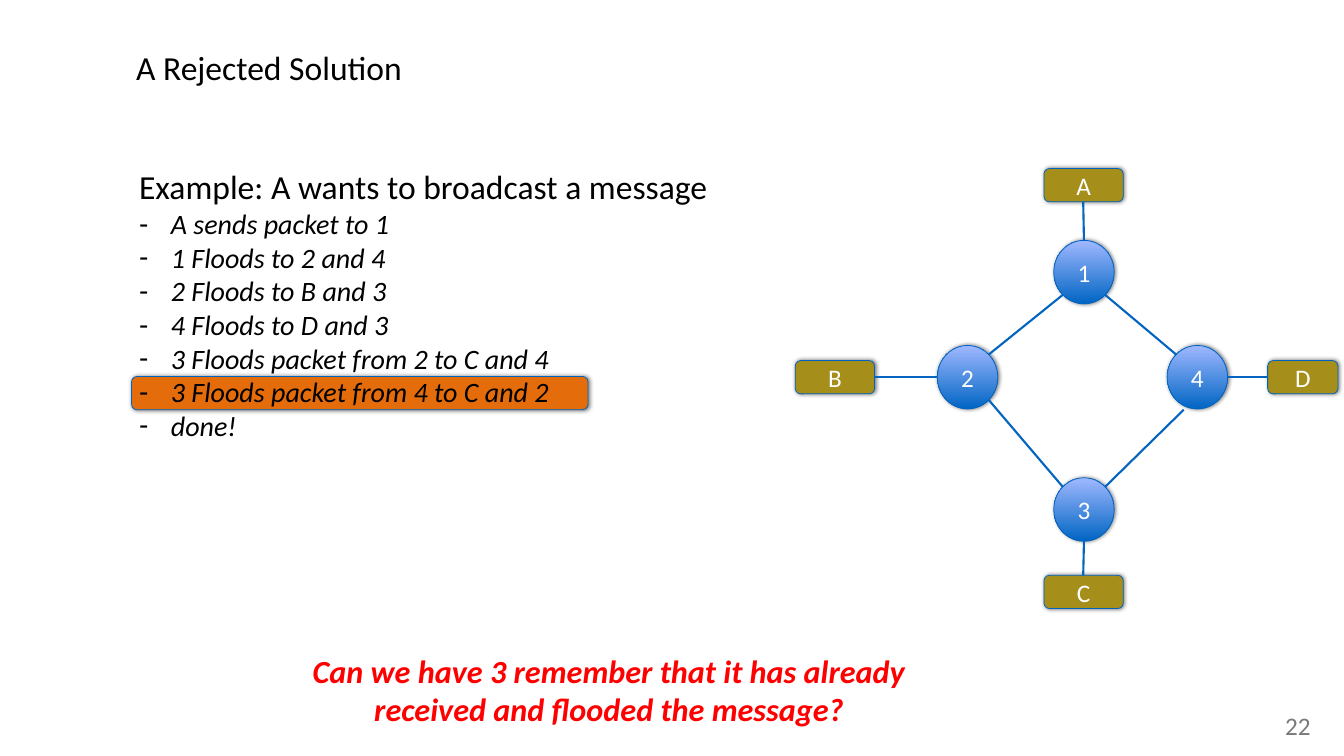
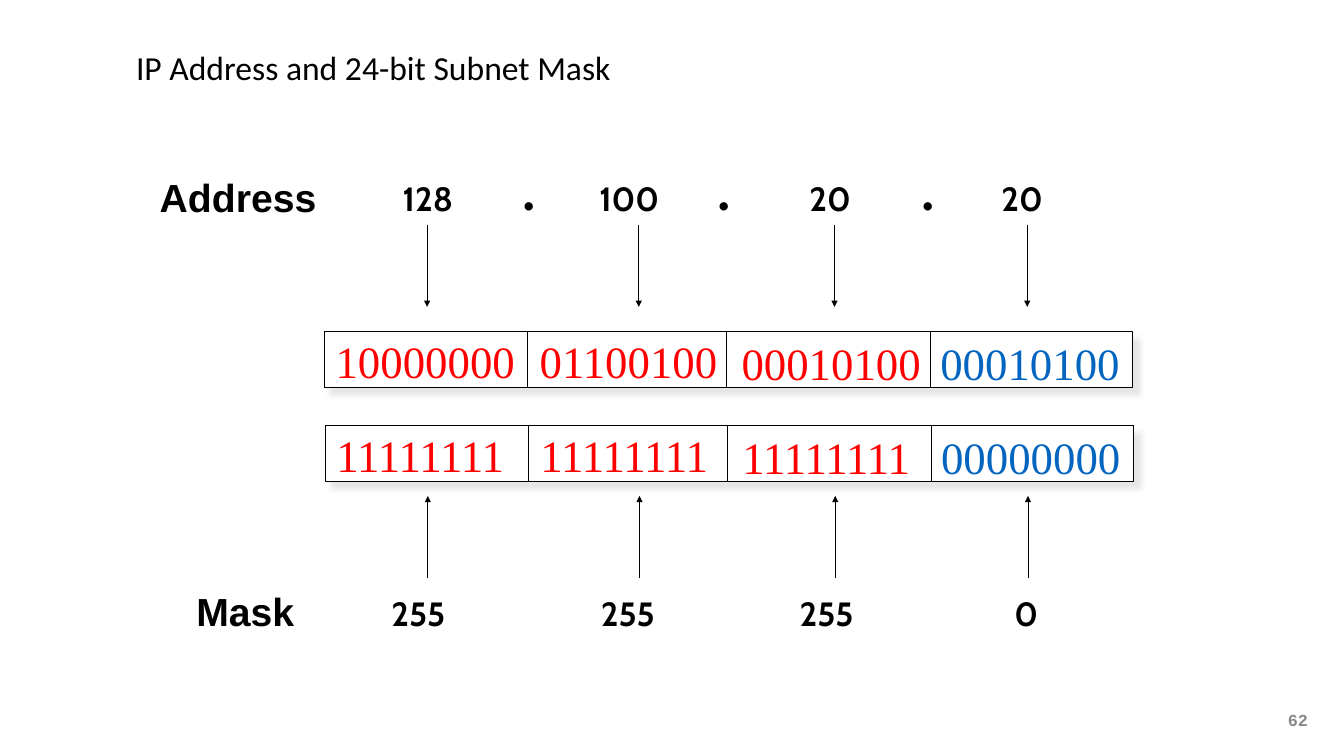
import dataclasses

import lxml.etree
import pptx
import pptx.dml.color
import pptx.enum.shapes
import pptx.enum.text
import pptx.oxml.ns
import pptx.util

PX = 9144
SHAPE = pptx.enum.shapes.MSO_SHAPE
ALIGN = pptx.enum.text.PP_ALIGN
ANCHOR = pptx.enum.text.MSO_ANCHOR


@dataclasses.dataclass(frozen=True)
class Theme:
    black: str = "000000"
    white: str = "FFFFFF"
    red: str = "FF0000"
    blue: str = "0365C0"
    outline: str = "0063BF"
    node_dark: str = "0065C3"
    node_light: str = "A0B8FF"
    host: str = "A58E1A"
    highlight: str = "E46C0A"
    row_shadow: str = "DCDEE0"
    gray: str = "7A7A7A"
    light_gray: str = "898989"
    text_font: str = "Calibri"
    caption_font: str = "Arial"
    number_font: str = "Cabin"
    bits_font: str = "Times New Roman"
    page_font: str = "Courier New"
    title_size: float = 32
    item_size: float = 26.7
    label_size: float = 24
    question_size: float = 30.7
    page_size: float = 16
    caption_size: float = 37.3
    bits_size: float = 42.7
    dot_size: float = 66


@dataclasses.dataclass(frozen=True)
class Box:
    left: int
    top: int
    width: int
    height: int

    def inner(self, left, top, width, height):
        return Box(self.left + left, self.top + top, width, height)

    def edges(self):
        return [value * PX for value in (self.left, self.top, self.width, self.height)]


THEME = Theme()
TITLE_BOX = Box(174, 0, 1431, 178)
NUMBER_BOX = Box(1694, 939, 46, 50)


def color(code):
    return pptx.dml.color.RGBColor.from_string(code)


def add_xml(parent, tag, **attributes):
    return lxml.etree.SubElement(parent, pptx.oxml.ns.qn(tag), attributes)


def write(para, text, *, size, font=THEME.text_font, ink=THEME.black,
          bold=False, italic=False, align=ALIGN.LEFT):
    para.alignment = align
    for index, line in enumerate(text.split("\n")):
        if index:
            para.add_line_break()
        span = para.add_run()
        span.text = line
        span.font.size = pptx.util.Pt(size)
        span.font.name = font
        span.font.bold = bold
        span.font.italic = italic
        span.font.color.rgb = color(ink)


def set_frame(frame, inset_x=10, inset_y=5, anchor=ANCHOR.TOP):
    frame.word_wrap = True
    frame.auto_size = pptx.enum.text.MSO_AUTO_SIZE.NONE
    frame.vertical_anchor = anchor
    frame.margin_left = frame.margin_right = inset_x * PX
    frame.margin_top = frame.margin_bottom = inset_y * PX


def add_text(page, box, text, inset_x=10, inset_y=5, anchor=ANCHOR.TOP, **style):
    frame = page.shapes.add_textbox(*box.edges()).text_frame
    set_frame(frame, inset_x, inset_y, anchor)
    write(frame.paragraphs[0], text, **style)


def place(holder, box):
    holder.left, holder.top, holder.width, holder.height = box.edges()
    return holder.text_frame


def add_shadow(shape, ink, opacity, blur, distance, angle):
    shape.shadow.inherit = False
    effects = shape._element.spPr.find(pptx.oxml.ns.qn("a:effectLst"))
    shadow = add_xml(effects, "a:outerShdw", blurRad=str(int(blur * 12700)),
                     dist=str(int(distance * 12700)), dir=str(angle * 60000),
                     algn="tl", rotWithShape="0")
    tint = add_xml(shadow, "a:srgbClr", val=ink)
    add_xml(tint, "a:alpha", val=str(opacity * 1000))


def add_block(page, kind, box, fill=None, label=None):
    shape = page.shapes.add_shape(kind, *box.edges())
    if fill:
        shape.fill.solid()
        shape.fill.fore_color.rgb = color(fill)
    else:
        shape.fill.gradient()
        shape.fill.gradient_angle = 90
        for stop, code in zip(shape.fill.gradient_stops,
                              (THEME.node_dark, THEME.node_light)):
            stop.color.rgb = color(code)
    shape.line.color.rgb = color(THEME.outline)
    shape.line.width = pptx.util.Pt(0.75)
    add_shadow(shape, THEME.black, 50, 4, 1, 0)
    if label:
        set_frame(shape.text_frame, anchor=ANCHOR.MIDDLE)
        write(shape.text_frame.paragraphs[0], label, size=THEME.label_size,
              ink=THEME.white, align=ALIGN.CENTER)


def add_line(page, start, end, ink=THEME.black, width=1.0, arrow=False):
    line = page.shapes.add_connector(pptx.enum.shapes.MSO_CONNECTOR.STRAIGHT,
                                     *[value * PX for value in (*start, *end)])
    line.line.color.rgb = color(ink)
    line.line.width = pptx.util.Pt(width)
    if arrow:
        add_xml(line.line._get_or_add_ln(), "a:tailEnd", type="triangle")
    add_xml(line._element.spPr, "a:effectLst")


def add_page(deck, layout, title, number, **number_style):
    page = deck.slides.add_slide(deck.slide_layouts[layout])
    frame = place(page.shapes.title, TITLE_BOX)
    set_frame(frame, 6, 6, ANCHOR.MIDDLE)
    write(frame.paragraphs[0], title, size=THEME.title_size)
    add_text(page, NUMBER_BOX, number, 0, 0, align=ALIGN.CENTER, **number_style)
    return page


def fill_steps(page, box, heading, steps):
    frame = place(page.placeholders[1], box)
    set_frame(frame)
    for index, text in enumerate([heading, *steps]):
        para = frame.add_paragraph() if index else frame.paragraphs[0]
        para.space_before = pptx.util.Pt(0)
        indent = 42 * PX if index else 0
        properties = para._p.get_or_add_pPr()
        properties.set("marL", str(indent))
        properties.set("indent", str(-indent))
        if index:
            add_xml(properties, "a:buChar", char="-")
            write(para, text, size=THEME.item_size, italic=True)
        else:
            add_xml(properties, "a:buNone")
            write(para, text, size=THEME.title_size)


def draw_network(page, box):
    switches = {"1": (342, 95), "2": (188, 234), "4": (492, 234), "3": (342, 409)}
    hosts = {"B": (0, 254, 105), "A": (329, 0, 105),
             "C": (329, 538, 105), "D": (625, 254, 93)}
    centers = {}
    for name, (left, top) in switches.items():
        area = box.inner(left, top, 80, 84)
        centers[name] = (area.left + 40, area.top + 42)
        add_block(page, SHAPE.OVAL, area, label=name)
    for name, (left, top, width) in hosts.items():
        area = box.inner(left, top, width, 44)
        centers[name] = (area.left + width // 2, area.top + 22)
        add_block(page, SHAPE.ROUNDED_RECTANGLE, area, THEME.host, name)
    links = [
        ("1", (-28, 30), "2", (28, -30)),
        ("2", (28, 30), "3", (-28, -30)),
        ("3", (28, -30), "4", (-18, 43)),
        ("4", (-28, -30), "1", (28, 30)),
        ("A", (0, 22), "1", (0, -42)),
        ("B", (53, 0), "2", (-40, 0)),
        ("C", (0, -22), "3", (0, 42)),
        ("D", (-46, 0), "4", (40, 0)),
    ]
    for first, first_shift, second, second_shift in links:
        start, end = [(centers[name][0] + shift[0], centers[name][1] + shift[1])
                      for name, shift in ((first, first_shift), (second, second_shift))]
        add_line(page, start, end, THEME.blue, 2)


def draw_bits(page, box, words):
    row = page.shapes.add_shape(SHAPE.RECTANGLE, *box.edges())
    row.fill.solid()
    row.fill.fore_color.rgb = color(THEME.white)
    row.line.color.rgb = color(THEME.black)
    row.line.width = pptx.util.Pt(1)
    add_shadow(row, THEME.row_shadow, 75, 5, 8.5, 45)
    for left in (269, 532, 802):
        add_line(page, (box.left + left, box.top),
                 (box.left + left, box.top + box.height))
    inks = [THEME.red] * 3 + [THEME.blue]
    for word, ink, left, top in zip(words, inks, (2, 272, 539, 802), (-4, -4, -2, -2)):
        add_text(page, box.inner(left, top, 267, 85), word, 13, 7,
                 size=THEME.bits_size, font=THEME.bits_font, ink=ink)


def draw_band(page, box, words, caption, caption_box, numbers, number_top, arrow_ends):
    draw_bits(page, box, words)
    add_text(page, box.inner(*caption_box), caption, size=THEME.caption_size,
             font=THEME.caption_font, bold=True, align=ALIGN.CENTER)
    for number, left in numbers:
        add_text(page, box.inner(left, number_top, 20 + 29 * len(number), 64), number,
                 size=THEME.title_size, font=THEME.number_font, bold=True)
    for left in (136, 416, 675, 930):
        start, end = [(box.left + left, box.top + top) for top in arrow_ends]
        add_line(page, start, end, width=0.75, arrow=True)


def draw_dots(page, box):
    for left in (0, 257, 528):
        add_text(page, box.inner(left, 0, 35, box.height), ".", 6, 6, ANCHOR.MIDDLE,
                 size=THEME.dot_size, align=ALIGN.CENTER)


def build_flooding_page(deck):
    page = add_page(deck, 1, "A Rejected Solution", "22",
                    size=THEME.label_size, ink=THEME.gray)
    add_block(page, SHAPE.ROUNDED_RECTANGLE, Box(174, 498, 604, 44), THEME.highlight)
    steps = page.placeholders[1]._element
    steps.getparent().append(steps)
    fill_steps(page, Box(174, 215, 790, 477), "Example: A wants to broadcast a message", [
        "A sends packet to 1",
        "1 Floods to 2 and 4",
        "2 Floods to B and 3",
        "4 Floods to D and 3",
        "3 Floods packet from 2 to C and 4",
        "3 Floods packet from 4 to C and 2",
        "done!",
    ])
    draw_network(page, Box(1052, 223, 718, 582))
    add_text(page, Box(396, 856, 820, 113),
             "Can we have 3 remember that it has already\nreceived and flooded the message?",
             size=THEME.question_size, ink=THEME.red, bold=True, italic=True,
             align=ALIGN.CENTER)


def build_mask_page(deck):
    page = add_page(deck, 5, "IP Address and 24-bit Subnet Mask", "62",
                    size=THEME.page_size, font=THEME.page_font,
                    ink=THEME.light_gray, bold=True)
    draw_band(page, Box(430, 563, 1069, 74),
              ["11111111", "11111111", "11111111", "00000000"],
              "Mask", (-181, 209, 151, 73),
              [("255", 78), ("255", 355), ("255", 618), ("0", 902)], 216, (202, 93))
    draw_band(page, Box(429, 439, 1069, 74),
              ["10000000", "01100100", "00010100", "00010100"],
              "Address", (-229, -214, 230, 73),
              [("128", 94), ("100", 354), ("20", 632), ("20", 886)], -208, (-142, -33))
    draw_dots(page, Box(683, 181, 563, 122))


def main():
    deck = pptx.Presentation()
    deck.slide_width = 1778 * PX
    deck.slide_height = 1000 * PX
    build_flooding_page(deck)
    build_mask_page(deck)
    deck.save("out.pptx")


if __name__ == "__main__":
    main()
